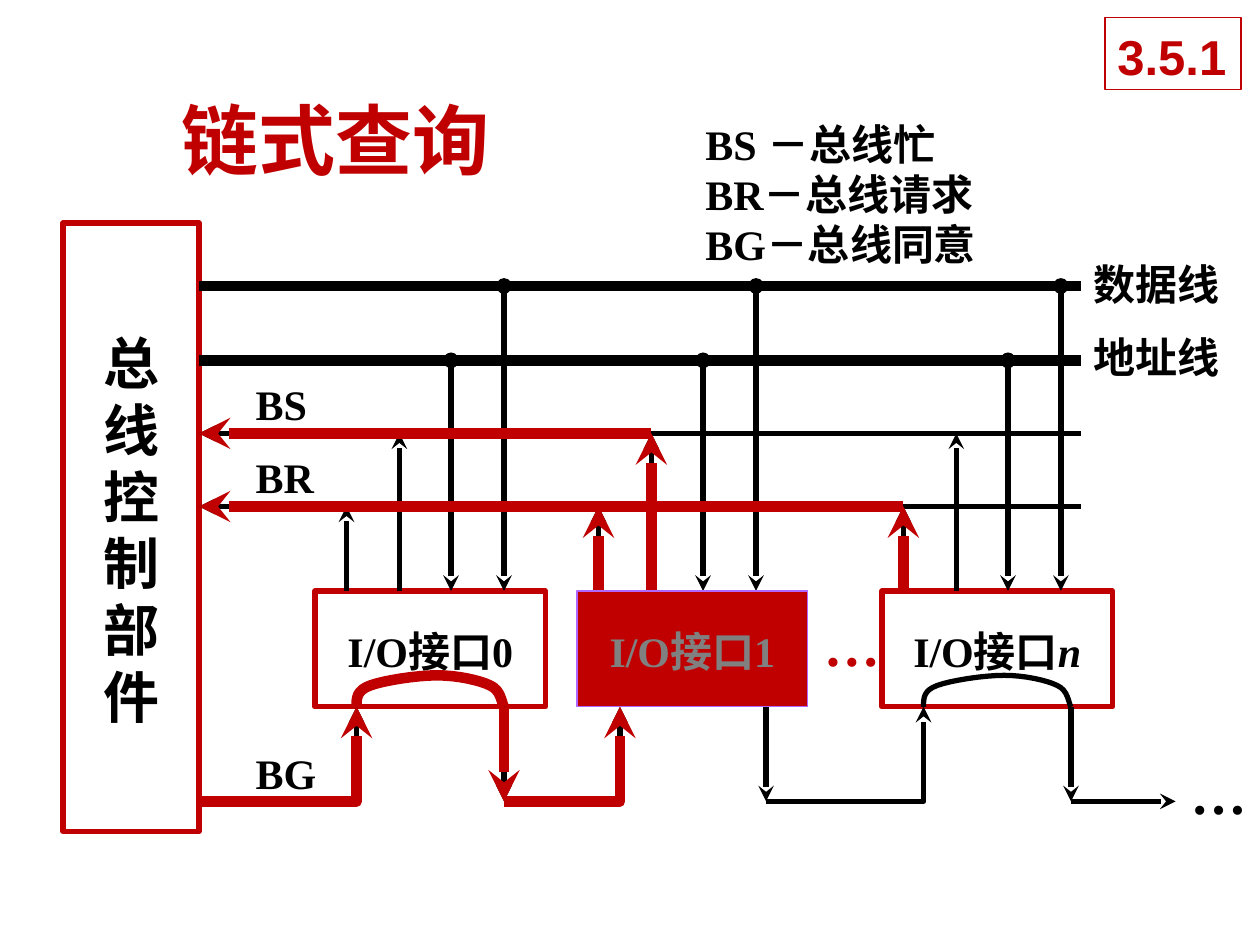
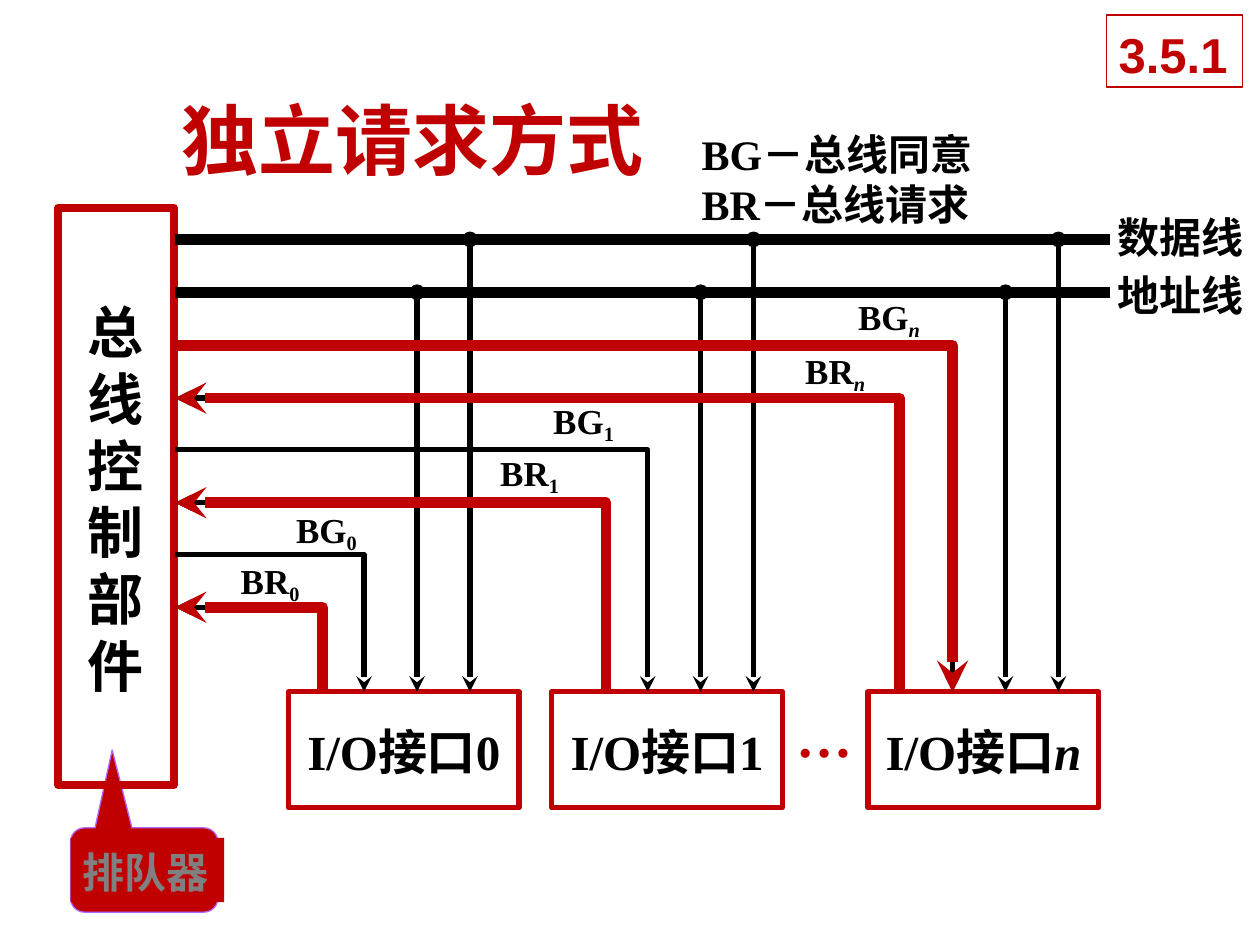
from dataclasses import dataclass

from lxml import etree
from pptx import Presentation
from pptx.dml.color import RGBColor
from pptx.enum.shapes import MSO_CONNECTOR, MSO_SHAPE
from pptx.enum.text import MSO_ANCHOR, PP_ALIGN
from pptx.oxml.ns import qn
from pptx.util import Inches, Pt

STRAIGHT = MSO_CONNECTOR.STRAIGHT
RECTANGLE = MSO_SHAPE.RECTANGLE
CALLOUT = MSO_SHAPE.ROUNDED_RECTANGULAR_CALLOUT
TOP, MIDDLE = MSO_ANCHOR.TOP, MSO_ANCHOR.MIDDLE
LEFT, CENTER = PP_ALIGN.LEFT, PP_ALIGN.CENTER
SERIF, SANS, CHINESE = "Times New Roman", "Arial", "Noto Sans CJK SC"

Point = tuple[float, float]


@dataclass(frozen=True)
class TextStyle:
    size: float
    color: str
    latin: str = SERIF
    east_asian: str = CHINESE


@dataclass(frozen=True)
class Theme:
    red: str = "C00000"
    black: str = "000000"
    violet: str = "AF67FF"
    white: str = "FFFFFF"
    thin: float = 0.75
    wire: float = 3
    bus: float = 6
    line_height: float = 1.19
    text_drop: float = 0.07
    title: TextStyle = TextStyle(44, "C00000", CHINESE)
    section: TextStyle = TextStyle(28, "C00000", SANS)
    controller: TextStyle = TextStyle(32, "000000")
    label: TextStyle = TextStyle(24, "000000")
    signal: TextStyle = TextStyle(20, "000000")
    large_label: TextStyle = TextStyle(28, "000000")
    muted: TextStyle = TextStyle(24, "808080")
    more: TextStyle = TextStyle(32, "000000", SERIF, SERIF)
    red_more: TextStyle = TextStyle(32, "C00000", SERIF, SERIF)


THEME = Theme()


@dataclass(frozen=True)
class Wire:
    """A route through points; highlighted is the part redrawn in red."""
    points: tuple[Point, ...]
    head: str = ""
    tail: str = ""
    width: float = THEME.wire
    highlighted: tuple[Point, ...] = ()


@dataclass(frozen=True)
class Label:
    x: float
    y: float
    width: float
    text: str
    style: TextStyle = THEME.label
    suffix: str = ""
    height: float = 0.5
    inset: float | None = None


@dataclass(frozen=True)
class Box:
    x: float
    y: float
    width: float
    height: float
    text: str = ""
    style: TextStyle = THEME.label
    suffix: str = ""
    fill: str = ""
    line: str = THEME.red
    weight: float = THEME.wire
    anchor: MSO_ANCHOR = MIDDLE
    align: PP_ALIGN = CENTER


def rgb(color: str) -> RGBColor:
    return RGBColor.from_string(color)


def add_run(paragraph, text: str, style: TextStyle, subscript: bool = False) -> None:
    run = paragraph.add_run()
    run.text = text
    formats = {"name": style.latin, "size": Pt(style.size), "bold": True,
               "italic": text == "n"}
    for attribute, value in formats.items():
        setattr(run.font, attribute, value)
    run.font.color.rgb = rgb(style.color)
    properties = run._r.get_or_add_rPr()
    properties.set("lang", "zh-CN")
    if subscript:
        properties.set("baseline", "-20000")
    etree.SubElement(properties, qn("a:ea"), typeface=style.east_asian)


def write(shape, text: str, style: TextStyle, suffix: str = "", subscript: bool = False,
          anchor: MSO_ANCHOR = TOP, align: PP_ALIGN = LEFT, wrap: bool = False,
          inset: float | None = None) -> None:
    frame = shape.text_frame
    side, top = (0.1, 0.05) if inset is None else (inset, inset)
    formats = {"word_wrap": wrap, "vertical_anchor": anchor,
               "margin_left": Inches(side), "margin_right": Inches(side),
               "margin_top": Inches(top) + Pt(style.size * THEME.text_drop),
               "margin_bottom": Inches(top)}
    for attribute, value in formats.items():
        setattr(frame, attribute, value)
    for index, line in enumerate(text.split("\n")):
        paragraph = frame.add_paragraph() if index else frame.paragraphs[0]
        paragraph.alignment = align
        paragraph.line_spacing = Pt(round(style.size * THEME.line_height, 1))
        add_run(paragraph, line, style)
    if suffix:
        add_run(paragraph, suffix, style, subscript)


def add_label(slide, label: Label) -> None:
    area = slide.shapes.add_textbox(*map(Inches, (label.x, label.y, label.width, label.height)))
    write(area, label.text, label.style, label.suffix, subscript=True,
          wrap="\n" in label.text, inset=label.inset)


def add_box(slide, box: Box, preset: MSO_SHAPE = RECTANGLE):
    shape = slide.shapes.add_shape(preset, *map(Inches, (box.x, box.y, box.width, box.height)))
    shape.shadow.inherit = False
    if box.fill:
        shape.fill.solid()
        shape.fill.fore_color.rgb = rgb(box.fill)
    else:
        shape.fill.background()
    if box.line:
        shape.line.color.rgb = rgb(box.line)
        shape.line.width = Pt(box.weight)
    else:
        shape.line.fill.background()
    if box.text:
        write(shape, box.text, box.style, box.suffix, anchor=box.anchor, align=box.align)
    return shape


def add_route(slide, points: tuple[Point, ...], color: str, width: float,
              head: str = "", tail: str = "") -> None:
    """Two points give a connector, more give an open outline."""
    route = [(Inches(x), Inches(y)) for x, y in points]
    if len(route) == 2:
        shape = slide.shapes.add_connector(STRAIGHT, *route[0], *route[1])
    else:
        builder = slide.shapes.build_freeform(*route[0])
        builder.add_line_segments(route[1:], close=False)
        shape = builder.convert_to_shape()
        shape.fill.background()
    shape.line.color.rgb = rgb(color)
    shape.line.width = Pt(width)
    line = shape.line._get_or_add_ln()
    etree.SubElement(line, qn("a:round"))
    for tag, kind in (("a:headEnd", head), ("a:tailEnd", tail)):
        if kind:
            etree.SubElement(line, qn(tag), type=kind)
    etree.SubElement(shape._element.spPr, qn("a:effectLst"))


def add_wires(slide, wires: list[Wire]) -> None:
    for wire in wires:
        add_route(slide, wire.points, THEME.black, wire.width, wire.head, wire.tail)
    for wire in wires:
        if wire.highlighted:
            add_route(slide, wire.highlighted, THEME.red, THEME.bus, wire.head, wire.tail)


def bypass(left: float, base: float) -> tuple[Point, ...]:
    """Arch through an interface, sampled from four Bezier curves."""
    curves = (((0, 0), (0, -0.07), (0, -0.13), (0.11, -0.17)),
              ((0.11, -0.17), (0.22, -0.21), (0.48, -0.25), (0.64, -0.25)),
              ((0.64, -0.25), (0.8, -0.25), (0.98, -0.21), (1.06, -0.17)),
              ((1.06, -0.17), (1.15, -0.13), (1.15, -0.03), (1.17, 0)))
    steps = 8
    points = [(left, base)]
    for curve in curves:
        for step in range(1, steps + 1):
            t = step / steps
            weights = ((1 - t) ** 3, 3 * t * (1 - t) ** 2, 3 * t ** 2 * (1 - t), t ** 3)
            x, y = (sum(w * p[axis] for w, p in zip(weights, curve)) for axis in (0, 1))
            points.append((left + x, base + y))
    return tuple(points)


def start_slide(deck, title: str):
    slide = deck.slides.add_slide(deck.slide_layouts[6])
    heading = slide.shapes.add_textbox(*map(Inches, (1.34, 0.66, 7.73, 0.84)))
    write(heading, title, THEME.title, anchor=MIDDLE)
    return slide


def add_section_number(slide, x: float, y: float) -> None:
    add_box(slide, Box(x, y, 1.08, 0.57, "3.5.1", THEME.section, fill=THEME.white,
                       weight=THEME.thin, anchor=TOP, align=LEFT))


def add_controller(slide, x: float, y: float, width: float, height: float,
                   weight: float) -> None:
    add_box(slide, Box(x, y, width, height, "\n".join("总线控制部件"),
                       THEME.controller, weight=weight))


def taps(x: float, address_y: float, data_y: float, device_y: float) -> list[Wire]:
    """Arrows from the address and data lines down to one interface."""
    return [Wire(((x, address_y), (x, device_y)), "oval", "stealth"),
            Wire(((x + 0.42, data_y), (x + 0.42, device_y)), "oval", "stealth")]


def build_chain_query(deck) -> None:
    slide = start_slide(deck, "链式查询")
    control, bus_end = 1.58, 8.58
    data, address, busy, request = 2.27, 2.86, 3.44, 4.02
    device, floor, grant = 4.69, 5.61, 6.36

    add_controller(slide, 0.5, 1.77, 1.08, 4.83, THEME.wire)
    for x, number in ((2.5, "0"), (7, "n")):
        add_box(slide, Box(x, device, 1.83, 0.92, "I/O接口", suffix=number))

    wires = [Wire(((control, y), (bus_end, y)), width=THEME.bus) for y in (data, address)]
    for y, end in ((busy, 5.17), (request, 7.17)):
        wires.append(Wire(((control, y), (bus_end, y)), head="stealth",
                          highlighted=((control, y), (end, y))))
    for x, asks, is_busy in ((2.75, False, False), (4.75, True, True), (7.17, True, False)):
        for up_x, y, active in ((x, request, asks), (x + 0.42, busy, is_busy)):
            up = ((up_x, device), (up_x, y))
            wires.append(Wire(up, tail="stealth", highlighted=up if active else ()))
        wires += taps(x + 0.83, address, data, device)
    grant_steps = (
        (((control, grant), (2.83, grant), (2.83, floor)), "stealth", True),
        (bypass(2.83, floor), "", True),
        (((4, floor), (4, grant)), "stealth", True),
        (((4, grant), (4.92, grant), (4.92, floor)), "stealth", True),
        (((6.08, floor), (6.08, grant)), "stealth", False),
        (((6.08, grant), (7.33, grant), (7.33, floor)), "stealth", False),
        (bypass(7.33, floor), "", False),
        (((8.5, floor), (8.5, grant)), "stealth", False),
        (((8.5, grant), (9.33, grant)), "stealth", False))
    wires += [Wire(points, tail=tail, highlighted=points if active else ())
              for points, tail, active in grant_steps]
    add_wires(slide, wires)
    add_box(slide, Box(4.58, device, 1.83, 0.92, "I/O接口1", THEME.muted,
                       fill=THEME.red, line=THEME.violet, weight=THEME.thin))

    for label in (Label(1.93, 2.93, 0.61, "BS"),
                  Label(1.93, 3.51, 0.66, "BR"),
                  Label(1.93, 5.86, 0.68, "BG"),
                  Label(bus_end, 1.98, 1.21, "数据线"),
                  Label(bus_end, 2.56, 1.21, "地址线"),
                  Label(6.44, 4.77, 0.65, "…", THEME.red_more, height=0.63),
                  Label(9.35, 5.94, 0.65, "…", THEME.more, height=0.63),
                  Label(5.5, 0.87, 2.97, "BS －总线忙\nBR－总线请求\nBG－总线同意", height=1.32)):
        add_label(slide, label)
    add_section_number(slide, 8.77, 0.14)


def build_independent_request(deck) -> None:
    slide = start_slide(deck, "独立请求方式")
    control, bus_end = 1.39, 8.81
    data, address, device = 1.9, 2.32, 5.49
    request_start, grant_start, level_step = 4.82, 4.4, 0.83

    queue = add_box(slide, Box(0.56, 6.57, 1.17, 0.67, fill=THEME.red,
                               line=THEME.violet, weight=THEME.thin), CALLOUT)
    for index, value in enumerate((-0.217, -1.422, 0.167)):
        queue.adjustments[index] = value
    add_box(slide, Box(0.56, 6.65, 1.22, 0.51, "排队器", THEME.muted, fill=THEME.red,
                       line="", anchor=TOP, align=LEFT))
    add_controller(slide, 0.46, 1.65, 0.92, 4.58, 4.5)

    wires = [Wire(((control, y), (bus_end, y)), width=THEME.bus) for y in (data, address)]
    devices = (("0", 2.29, 2.56, 2.89), ("1", 4.38, 4.81, 5.14), ("n", 6.89, 7.14, 7.56))
    for level, (number, x, request_x, grant_x) in enumerate(devices):
        add_box(slide, Box(x, device, 1.83, 0.92, "I/O接口", THEME.large_label, number))
        request_y = request_start - level * level_step
        grant_y = grant_start - level * level_step
        request = ((control, request_y), (request_x, request_y), (request_x, device))
        grant = ((control, grant_y), (grant_x, grant_y), (grant_x, device))
        wires.append(Wire(request, head="stealth", highlighted=request))
        wires.append(Wire(grant, tail="stealth", highlighted=grant if number == "n" else ()))
        wires += taps(grant_x + 0.42, address, data, device)

    signals = (("BR", "0", 1.91, 4.46), ("BG", "0", 2.35, 4.05), ("BR", "1", 3.97, 3.6),
               ("BG", "1", 4.39, 3.19), ("BR", "n", 6.39, 2.79), ("BG", "n", 6.81, 2.36))
    for name, number, x, y in signals:
        add_label(slide, Label(x, y, 0.92, name, THEME.signal, number, 0.33, 0))
    add_wires(slide, wires)

    for label in (Label(8.77, 1.61, 1.21, "数据线"),
                  Label(8.77, 2.07, 1.21, "地址线"),
                  Label(6.22, device, 0.65, "…", THEME.red_more, height=0.63),
                  Label(5.47, 0.95, 2.58, "BG－总线同意\nBR－总线请求", height=0.91)):
        add_label(slide, label)
    add_section_number(slide, 8.78, 0.12)


def main() -> None:
    deck = Presentation()
    deck.slide_width, deck.slide_height = Inches(10), Inches(7.5)
    build_chain_query(deck)
    build_independent_request(deck)
    deck.save("out.pptx")


if __name__ == "__main__":
    main()
